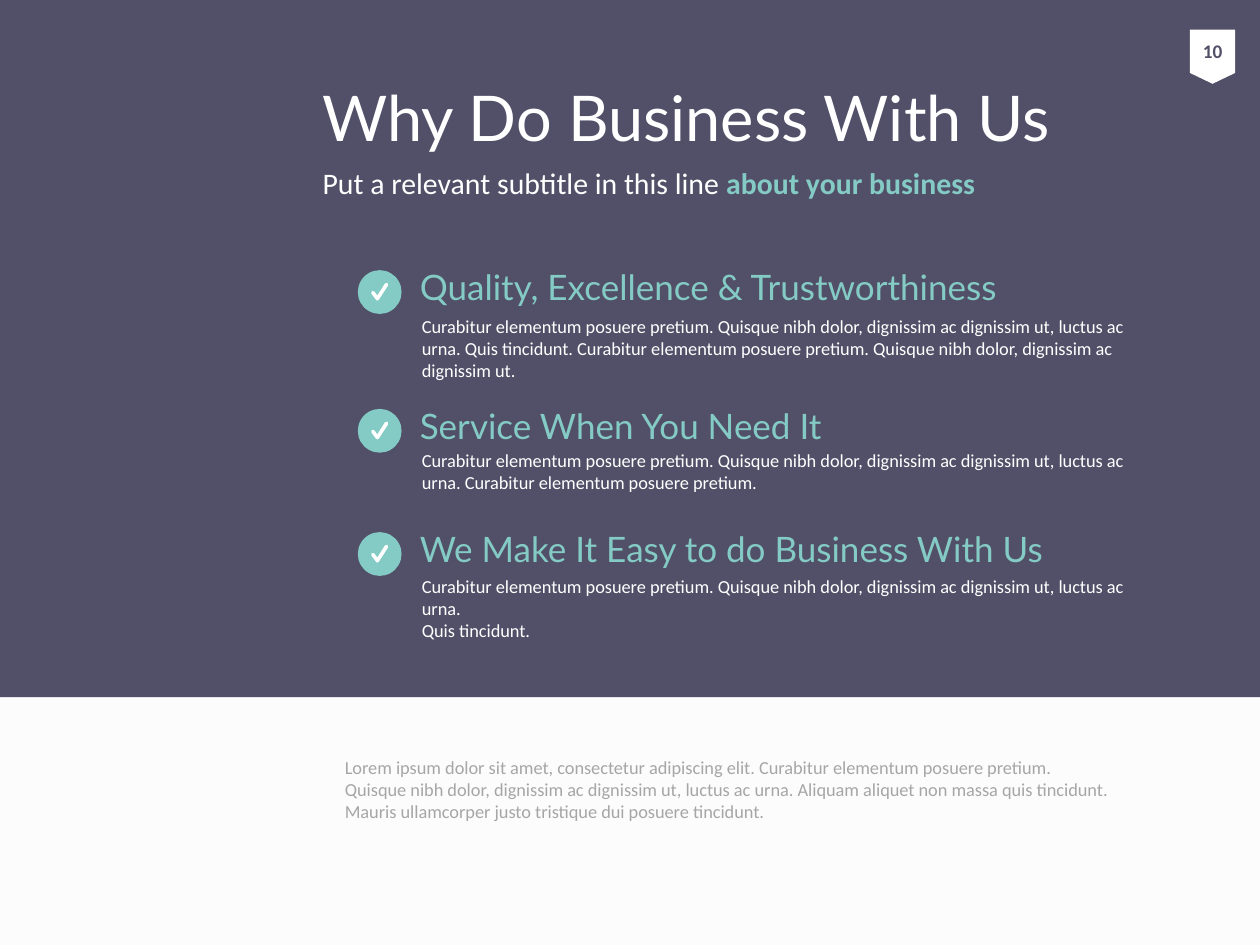
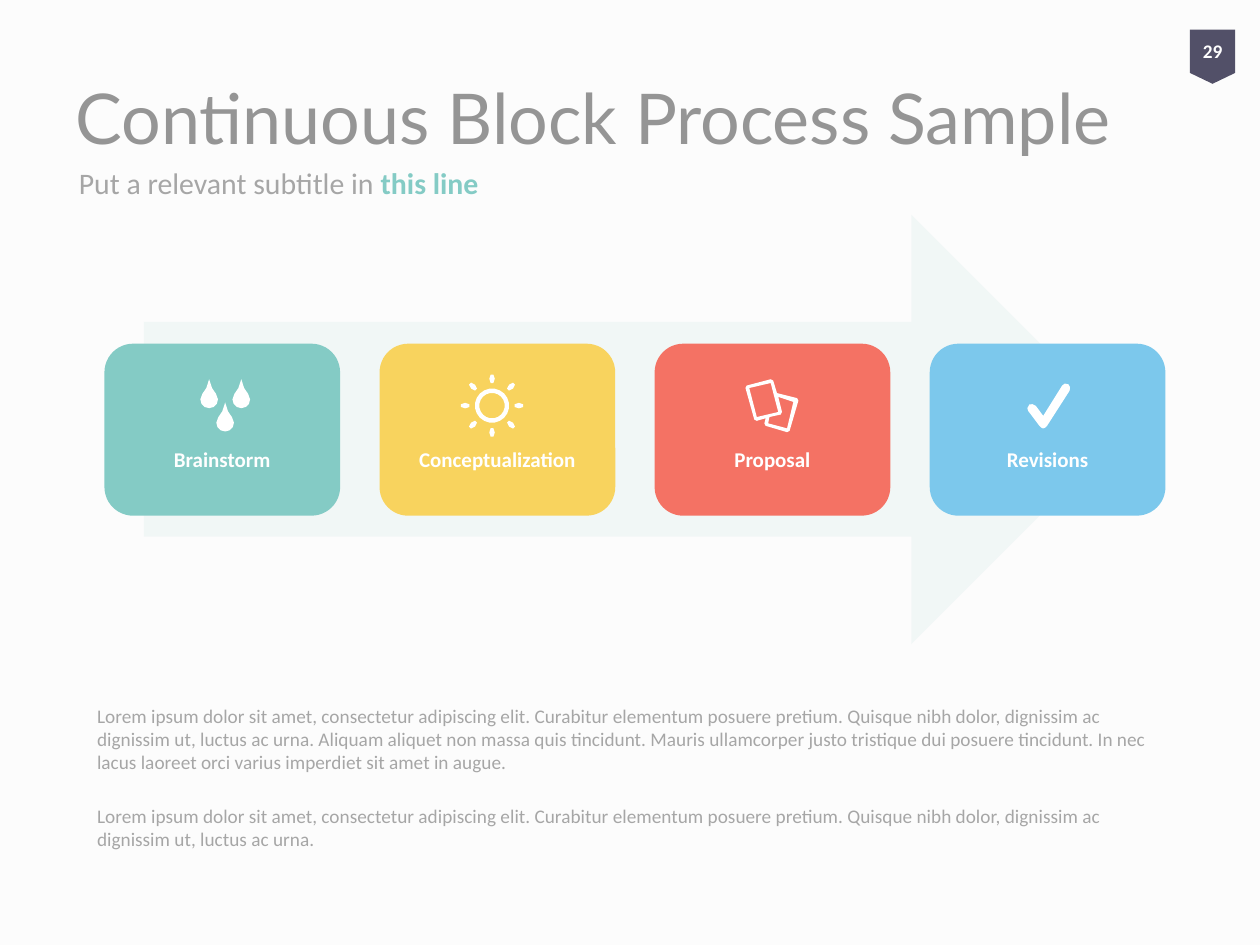
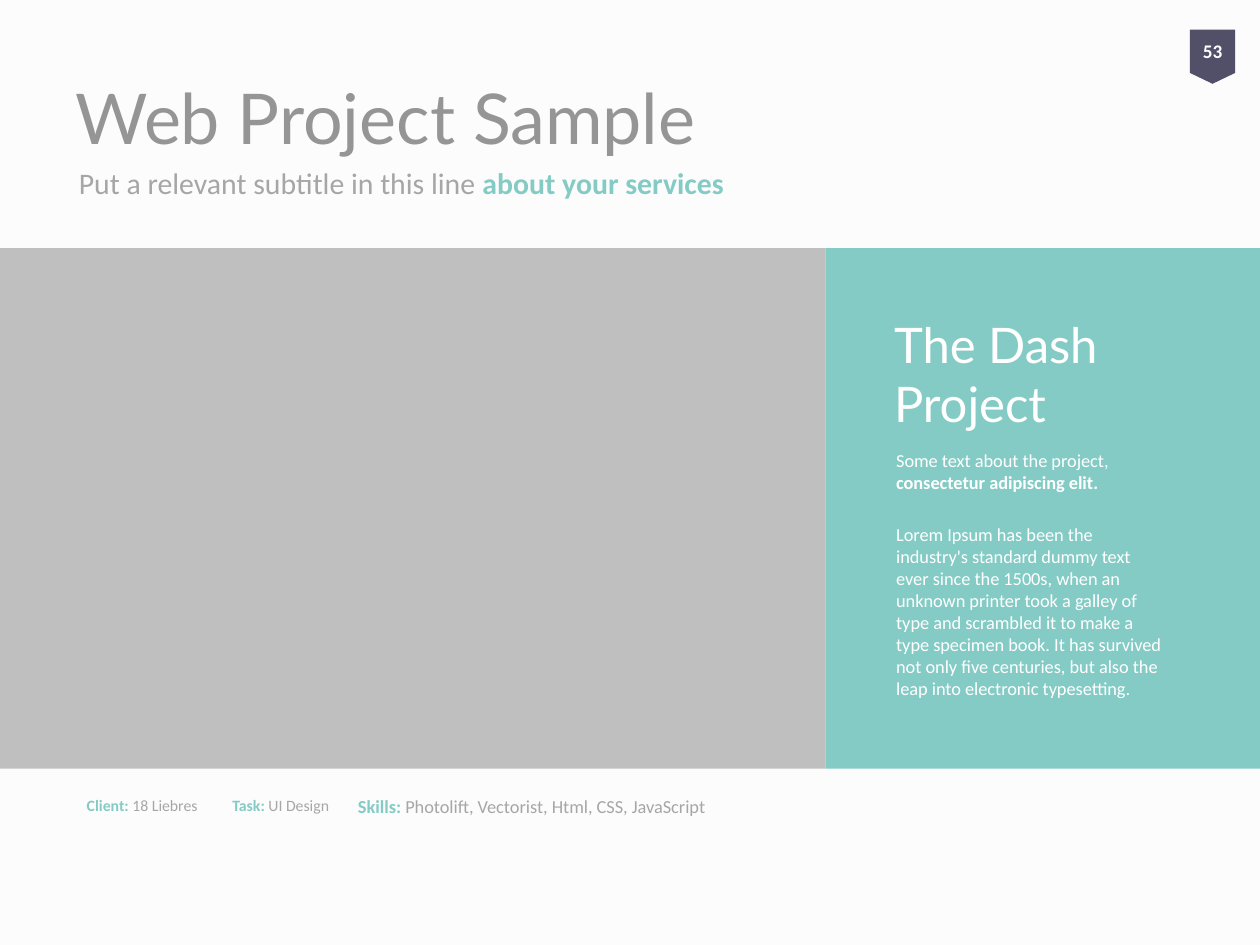
import math
from dataclasses import dataclass
from typing import NamedTuple

import pptx
import pptx.dml.color
import pptx.enum.shapes
import pptx.enum.text
import pptx.oxml
import pptx.oxml.ns
import pptx.slide
import pptx.text.text
import pptx.util
from lxml import etree

Pt = pptx.util.Pt
SHAPES = pptx.enum.shapes.MSO_SHAPE
ANCHOR = pptx.enum.text.MSO_ANCHOR
ALIGN = pptx.enum.text.PP_ALIGN


@dataclass(frozen=True)
class Theme:
    heading_font: str = "Lato"
    body_font: str = "Calibri"
    page: str = "FCFCFC"
    white: str = "FFFFFF"
    navy: str = "525068"
    teal: str = "84CBC5"
    yellow: str = "F8D35E"
    red: str = "F47264"
    blue: str = "7CC8EC"
    pale_teal: str = "D9ECEA"
    title_gray: str = "959595"
    text_gray: str = "A6A6A6"
    placeholder_gray: str = "BFBFBF"
    title_size: float = 40
    dark_title_size: float = 36
    project_size: float = 28
    reason_size: float = 20
    subtitle_size: float = 17
    step_size: float = 12
    note_size: float = 11
    body_size: float = 10.5
    fact_size: float = 9


THEME = Theme()


class Box(NamedTuple):
    left: float
    top: float
    width: float
    height: float


class Span(NamedTuple):
    text: str
    color: str | None = None
    bold: bool = False


Paragraph = list[Span]
Point = tuple[float, float]
Contour = list[Point]


@dataclass(frozen=True)
class Reason:
    heading: str
    detail: str
    heading_top: float
    detail_top: float
    detail_height: float


@dataclass(frozen=True)
class Step:
    label: str
    color: str
    icon: list[Contour]
    icon_left: float
    icon_top: float


@dataclass(frozen=True)
class Fact:
    name: str
    value: str
    box: Box
    size: float


def rgb(color: str) -> pptx.dml.color.RGBColor:
    return pptx.dml.color.RGBColor.from_string(color)


def write(frame: pptx.text.text.TextFrame, text: str | list[Paragraph], *, size: float,
          color: str, font: str = THEME.body_font, bold: bool = False,
          align: ALIGN = ALIGN.LEFT, anchor: ANCHOR = ANCHOR.TOP,
          before: float = 0, gap: float = 0,
          margins: tuple[float, float, float, float] = (7.2, 3.6, 7.2, 3.6)) -> None:
    frame.word_wrap = True
    frame.auto_size = pptx.enum.text.MSO_AUTO_SIZE.NONE
    frame.vertical_anchor = anchor
    frame.margin_left, frame.margin_top, frame.margin_right, frame.margin_bottom = map(Pt, margins)
    paragraphs = [[Span(text, color, bold)]] if isinstance(text, str) else text
    for number, spans in enumerate(paragraphs):
        paragraph = frame.add_paragraph() if number else frame.paragraphs[0]
        paragraph.alignment = align
        paragraph.space_before = Pt(gap if number else before)
        for span in spans:
            for line_number, line in enumerate(span.text.split("\n")):
                if line_number:
                    paragraph.add_line_break()
                run = paragraph.add_run()
                run.text = line
                run.font.name = font
                run.font.size = Pt(size)
                run.font.bold = span.bold
                run.font.color.rgb = rgb(span.color or color)


def add_text(slide: pptx.slide.Slide, box: Box, text: str | list[Paragraph], **style) -> None:
    write(slide.shapes.add_textbox(*map(Pt, box)).text_frame, text, **style)


def paint(shape, color: str) -> None:
    shape.shadow.inherit = False
    shape.fill.solid()
    shape.fill.fore_color.rgb = rgb(color)
    shape.line.fill.background()


def add_block(slide: pptx.slide.Slide, kind: SHAPES, box: Box, color: str):
    block = slide.shapes.add_shape(kind, *map(Pt, box))
    paint(block, color)
    return block


def set_opacity(shape, percent: int) -> None:
    tint = shape.element.spPr.find(".//" + pptx.oxml.ns.qn("a:srgbClr"))
    etree.SubElement(tint, pptx.oxml.ns.qn("a:alpha")).set("val", str(percent * 1000))


def trace(start: Point, *segments: tuple[float, ...], pieces: int) -> Contour:
    points = [start]
    for segment in segments:
        if len(segment) == 2:
            points.append(segment)
            continue
        x0, y0 = points[-1]
        x1, y1, x2, y2, x3, y3 = segment
        for t in (k / pieces for k in range(1, pieces + 1)):
            u = 1 - t
            weights = u ** 3, 3 * u * u * t, 3 * u * t * t, t ** 3
            points.append((sum(w * x for w, x in zip(weights, (x0, x1, x2, x3))),
                           sum(w * y for w, y in zip(weights, (y0, y1, y2, y3)))))
    return points[:-1] if points[-1] == start else points


def ellipse(x: float, y: float, rx: float, ry: float, corners: int,
            turn: float = 0) -> Contour:
    angles = [math.tau * (k + 0.5) / corners for k in range(corners)]
    return [(x + rx * math.cos(a) * math.cos(turn) - ry * math.sin(a) * math.sin(turn),
             y + rx * math.cos(a) * math.sin(turn) + ry * math.sin(a) * math.cos(turn))
            for a in angles]


def shift(contour: Contour, dx: float, dy: float) -> Contour:
    return [(x + dx, y + dy) for x, y in contour]


def add_icon(slide: pptx.slide.Slide, contours: list[Contour], left: float, top: float,
             unit: float = 0.72) -> None:
    builder = None
    for contour in contours:
        start, *rest = [(Pt(left + x * unit), Pt(top + y * unit)) for x, y in contour]
        if builder is None:
            builder = slide.shapes.build_freeform(*start)
        else:
            builder.move_to(*start)
        builder.add_line_segments(rest, close=True)
    paint(builder.convert_to_shape(), THEME.white)


def check(pieces: int) -> list[Contour]:
    return [trace((13, 36), (12, 36, 11, 35, 10, 34), (1, 22), (0, 21, 0, 19, 2, 17),
                  (3, 16, 6, 17, 7, 18), (13, 26), (28, 2), (29, 0, 31, 0, 33, 1),
                  (34, 2, 35, 4, 34, 6), (16, 34), (15, 35, 14, 36, 13, 36), pieces=pieces)]


DROP = trace((7, 0), (6, 9, 0, 11, 0, 16), (0, 20, 3, 23, 7, 23),
             (11, 23, 14, 20, 14, 16), (14, 11, 8, 9, 7, 0), pieces=3)
DROPS = [shift(DROP, dx, dy) for dx, dy in ((0, 0), (25.5, 0), (12.7, 18.5))]
SUN = [ellipse(25, 25, 13.6, 13.6, 20), ellipse(25, 25, 10.1, 10.1, 20)] + [
    ellipse(25 + 21.3 * math.cos(turn), 25 + 21.3 * math.sin(turn), 3.9, 2.2, 6, turn)
    for turn in (math.tau * k / 8 for k in range(8))]
SHEETS = [
    [(41, 16), (25, 12), (22, 2), (20, 1), (1, 6), (0, 8), (7, 33), (9, 34), (16, 32),
     (15, 36), (16, 38), (33, 43), (35, 42), (42, 18)],
    [(3, 8), (20, 4), (26, 27), (9, 31)],
    [(33, 40), (18, 36), (19, 31), (28, 29), (29, 27), (26, 15), (38, 19)],
]

LOREM = ("Lorem ipsum dolor sit amet, consectetur adipiscing elit. Curabitur elementum posuere "
         "pretium. Quisque nibh dolor, dignissim ac dignissim ut, luctus ac urna.")
MAURIS = (" Aliquam aliquet non massa quis tincidunt. Mauris ullamcorper justo tristique dui "
          "posuere tincidunt.")
CURABITUR = ("Curabitur elementum posuere pretium. Quisque nibh dolor, dignissim ac dignissim ut, "
             "luctus ac urna.")

REASONS = [
    Reason("Quality, Excellence & Trustworthiness",
           CURABITUR + " Quis tincidunt. Curabitur elementum posuere pretium. "
           "Quisque nibh dolor, dignissim ac dignissim ut.", 147.8, 176.4, 45.4),
    Reason("Service When You Need It",
           CURABITUR + " Curabitur elementum posuere pretium.", 227.1, 253.1, 32.4),
    Reason("We Make It Easy to do Business With Us",
           CURABITUR + "\nQuis tincidunt.", 297.5, 325.1, 45.4),
]
STEPS = [
    Step("Brainstorm", THEME.teal, DROPS, 114.5, 216.7),
    Step("Conceptualization", THEME.yellow, SUN, 263.2, 213.8),
    Step("Proposal", THEME.red, SHEETS, 426, 216),
    Step("Revisions", THEME.blue, check(2), 586.8, 218.9),
]
FACTS = [
    Fact("Client: ", "18 Liebres", Box(42.5, 451, 83.5, 18), THEME.fact_size),
    Fact("Task: ", "UI Design", Box(125.7, 451, 83.5, 18), THEME.fact_size),
    Fact("Skills: ", "Photolift, Vectorist, Html, CSS, JavaScript",
         Box(197.5, 450.7, 247, 32.4), THEME.body_size),
]


def add_page(deck, number: int, title: str, subtitle: str, accent: str, *, title_box: Box,
             subtitle_box: Box, dark: bool = False) -> pptx.slide.Slide:
    slide = deck.slides.add_slide(deck.slide_layouts.get_by_name("Title Only"))
    heading = slide.shapes.title
    heading.left, heading.top, heading.width, heading.height = map(Pt, title_box)
    write(heading.text_frame, title, font=THEME.heading_font, anchor=ANCHOR.MIDDLE,
          size=THEME.dark_title_size if dark else THEME.title_size,
          color=THEME.white if dark else THEME.title_gray)
    add_text(slide, subtitle_box, [[Span(subtitle), Span(accent, THEME.teal, True)]],
             size=THEME.subtitle_size, anchor=ANCHOR.MIDDLE,
             color=THEME.white if dark else THEME.text_gray)
    badge = add_block(slide, SHAPES.FLOWCHART_OFFPAGE_CONNECTOR, Box(680, 16.9, 25.8, 31),
                      THEME.white if dark else THEME.navy)
    write(badge.text_frame, str(number), size=THEME.note_size, bold=True, align=ALIGN.CENTER,
          anchor=ANCHOR.MIDDLE, margins=(0, 3.6, 0, 3.6),
          color=THEME.navy if dark else THEME.white)
    return slide


def build_reasons(deck) -> None:
    slide = add_page(deck, 10, "Why Do Business With Us", "Put a relevant subtitle in this line ",
                     "about your business", title_box=Box(177.1, 38.4, 443.5, 56.2),
                     subtitle_box=Box(177.3, 85, 443.5, 38.2), dark=True)
    band = add_block(slide, SHAPES.RECTANGLE, Box(0, 0, 720, 398.4), THEME.navy)
    slide.shapes.title.element.addprevious(band.element)
    add_text(slide, Box(190, 428.7, 453.6, 64), LOREM + MAURIS, size=THEME.body_size,
             color=THEME.text_gray, before=2.1)
    for reason in REASONS:
        add_text(slide, Box(234, reason.detail_top, 432, reason.detail_height), reason.detail,
                 size=THEME.body_size, color=THEME.white, before=2.1)
        add_text(slide, Box(232.8, reason.heading_top, 402.5, 31.7), reason.heading,
                 size=THEME.reason_size, color=THEME.teal, font=THEME.heading_font,
                 anchor=ANCHOR.MIDDLE)
        add_block(slide, SHAPES.OVAL, Box(204.5, reason.heading_top + 6.6, 25, 25), THEME.teal)
        add_icon(slide, check(1), 211.9, reason.heading_top + 13.6, 0.29)


def build_process(deck) -> None:
    slide = add_page(deck, 29, "Continuous Block Process Sample", "Put a relevant subtitle in ",
                     "this line", title_box=Box(36, 21.6, 635.8, 90),
                     subtitle_box=Box(38, 85, 424, 38.2))
    arrow = add_block(slide, SHAPES.RIGHT_ARROW, Box(82.2, 122.6, 561.3, 245.5), THEME.pale_teal)
    set_opacity(arrow, 30)
    for place, step in enumerate(STEPS):
        left = 59.7 + 157.2 * place
        add_block(slide, SHAPES.ROUNDED_RECTANGLE, Box(left, 196.4, 134.7, 98.3), step.color)
        add_text(slide, Box(left + 4.7, 200.9, 125.2, 88.6), step.label, size=THEME.step_size,
                 color=THEME.white, bold=True, align=ALIGN.CENTER, anchor=ANCHOR.MIDDLE,
                 margins=(3.6, 38, 3.6, 3.6))
        add_icon(slide, step.icon, step.icon_left, step.icon_top)
    add_text(slide, Box(48.4, 398.9, 629.3, 64),
             [[Span(LOREM + MAURIS + " In nec lacus laoreet orci varius imperdiet sit amet in augue.")],
              [Span(LOREM)]],
             size=THEME.note_size, color=THEME.text_gray, before=2.2, gap=17.6)


def build_project(deck) -> None:
    slide = add_page(deck, 53, "Web Project Sample", "Put a relevant subtitle in this line ",
                     "about your services", title_box=Box(36, 38.4, 648, 56.2),
                     subtitle_box=Box(38, 85, 648, 38.2))
    add_block(slide, SHAPES.RECTANGLE, Box(471.6, 141.8, 248.4, 297.4), THEME.teal)
    add_block(slide, SHAPES.RECTANGLE, Box(0, 141.8, 471.6, 297.4), THEME.placeholder_gray)
    add_text(slide, Box(505, 253.4, 167, 187.2),
             [[Span("Some text about the project, "),
               Span("consectetur adipiscing elit.", bold=True)],
              [Span("Lorem Ipsum has been the industry's standard dummy text ever since the "
                    "1500s, when an unknown printer took a galley of type and scrambled it to "
                    "make a type specimen book. It has survived not only five centuries, but "
                    "also the leap into electronic typesetting.")]],
             size=THEME.body_size, color=THEME.white, before=2.1, gap=17)
    add_text(slide, Box(503.8, 185.3, 176.4, 56.2), "The Dash Project", size=THEME.project_size,
             color=THEME.white, font=THEME.heading_font, anchor=ANCHOR.MIDDLE)
    for fact in FACTS:
        add_text(slide, fact.box, [[Span(fact.name, THEME.teal, True), Span(fact.value)]],
                 size=fact.size, color=THEME.text_gray)


def main() -> None:
    deck = pptx.Presentation()
    deck.slide_width, deck.slide_height = Pt(720), Pt(540)
    backdrop = deck.slide_master.background.fill
    backdrop.solid()
    backdrop.fore_color.rgb = rgb(THEME.page)
    build_reasons(deck)
    build_process(deck)
    build_project(deck)
    deck.save("out.pptx")


if __name__ == "__main__":
    main()
